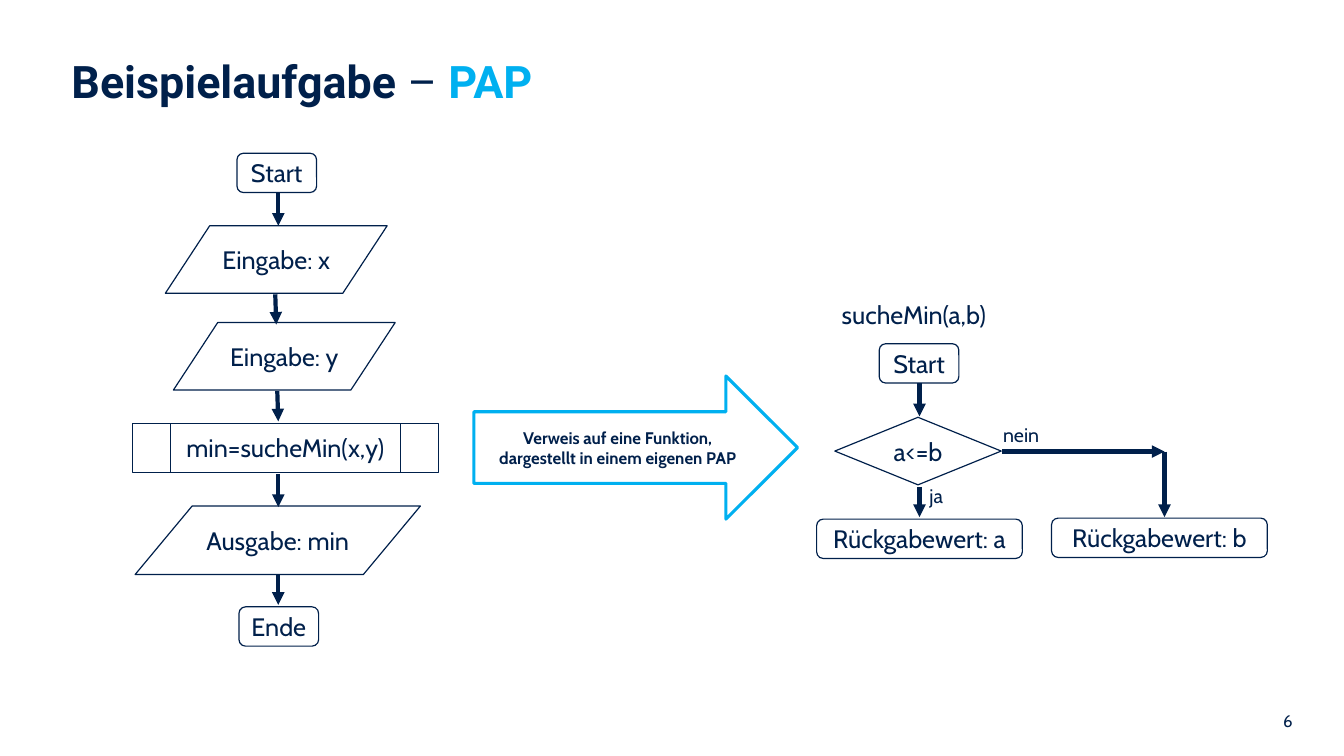
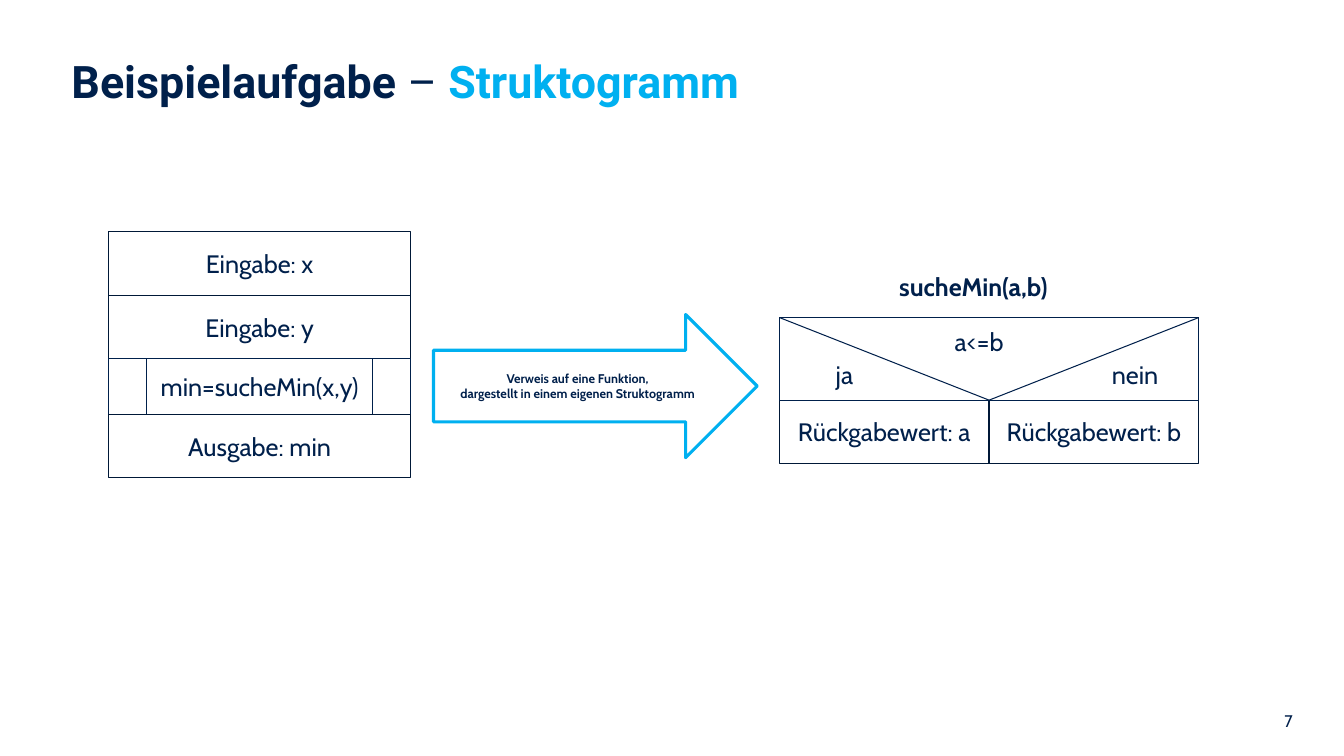
from lxml import etree
from pptx import Presentation
from pptx.dml.color import RGBColor
from pptx.enum.shapes import MSO_CONNECTOR, MSO_SHAPE
from pptx.enum.text import MSO_ANCHOR, PP_ALIGN
from pptx.oxml.ns import qn
from pptx.util import Inches, Pt

COLORS = {"navy": "00204B", "dark": "001837", "cyan": "00B0F0", "white": "FFFFFF"}
RGB = {name: RGBColor.from_string(value) for name, value in COLORS.items()}
BODY, HEAD = "Cabin", "Roboto"
STRAIGHT = MSO_CONNECTOR.STRAIGHT
LEFT, CENTER, RIGHT = PP_ALIGN.LEFT, PP_ALIGN.CENTER, PP_ALIGN.RIGHT
MIDDLE = MSO_ANCHOR.MIDDLE
TERMINAL = MSO_SHAPE.ROUNDED_RECTANGLE
IN_OUT = MSO_SHAPE.FLOWCHART_DATA
CALL = MSO_SHAPE.FLOWCHART_PREDEFINED_PROCESS
DECISION = MSO_SHAPE.FLOWCHART_DECISION
ARROW = MSO_SHAPE.RIGHT_ARROW
RECT = MSO_SHAPE.RECTANGLE


def add_box(s, preset, box, text="", size=18, bold=False, color="navy", weight=0.85, align=CENTER):
    """Add a preset shape with text, or a plain label if preset is None."""
    pos = [Inches(v) for v in box]
    if preset is None:
        sp = s.shapes.add_textbox(*pos)
    else:
        sp = s.shapes.add_shape(preset, *pos)
        sp.shadow.inherit = False
        if color == "dark":
            sp.fill.background()
        else:
            sp.fill.solid()
            sp.fill.fore_color.rgb = RGB["white"]
        sp.line.color.rgb = RGB[color]
        sp.line.width = Pt(weight)
        sp.text_frame.vertical_anchor = MIDDLE
        sp.text_frame.word_wrap = True
    tf = sp.text_frame
    tf.text = text
    for p in tf.paragraphs:
        p.alignment = align
        p.font.name, p.font.size, p.font.bold = BODY, Pt(size), bold
        p.font.color.rgb = RGB["navy"]
    return sp


def add_line(s, x1, y1, x2, y2, weight=3, arrow=True):
    cx = s.shapes.add_connector(STRAIGHT, Inches(x1), Inches(y1), Inches(x2), Inches(y2))
    cx.line.color.rgb = RGB["navy"]
    cx.line.width = Pt(weight)
    if arrow:
        etree.SubElement(cx.line._get_or_add_ln(), qn("a:tailEnd"), type="triangle")
    etree.SubElement(cx._element.spPr, qn("a:effectLst"))


prs = Presentation()
prs.slide_width, prs.slide_height = Inches(13.33), Inches(7.5)

# Shared title and page number
slides = []
for number, topic in ((6, "PAP"), (7, "Struktogramm")):
    s = prs.slides.add_slide(prs.slide_layouts[6])
    tf = s.shapes.add_textbox(Inches(0.61), Inches(0.48), Inches(12.18), Inches(0.79)).text_frame
    tf.word_wrap = True
    p = tf.paragraphs[0]
    p.font.name, p.font.size = HEAD, Pt(32)
    for text, color, bold in (("Beispielaufgabe ", "navy", True), ("– ", "navy", False), (topic, "cyan", True)):
        r = p.add_run()
        r.text = text
        r.font.bold = bold
        r.font.color.rgb = RGB[color]
    add_box(s, None, (8.45, 7, 4.47, 0.37), str(number), 12, align=RIGHT).text_frame.word_wrap = True
    slides.append(s)
flowchart, structogram = slides

# Flowchart: main program
for preset, box, text, weight in (
    (TERMINAL, (2.35, 1.52, 0.79, 0.39), "Start", 0.85),
    (IN_OUT, (1.64, 2.24, 2.2, 0.67), "Eingabe: x", 0.85),
    (IN_OUT, (1.72, 3.2, 2.2, 0.67), "Eingabe: y", 0.85),
    (CALL, (1.31, 4.2, 3.04, 0.48), "min=sucheMin(x,y)", 0.25),
    (IN_OUT, (1.34, 5.02, 2.83, 0.68), "Ausgabe: min", 0.85),
    (TERMINAL, (2.37, 6.02, 0.79, 0.39), "Ende", 0.85),
):
    add_box(flowchart, preset, box, text, weight=weight)
for x1, top, x2, bottom in (
    (2.76, 1.91, 2.76, 2.24),
    (2.73, 2.92, 2.74, 3.22),
    (2.75, 3.88, 2.76, 4.18),
    (2.76, 4.7, 2.76, 5.03),
    (2.76, 5.7, 2.76, 6),
):
    add_line(flowchart, x1, top, x2, bottom)

# Flowchart: function
for preset, box, text in (
    (TERMINAL, (8.72, 3.41, 0.79, 0.39), "Start"),
    (DECISION, (8.28, 4.14, 1.65, 0.67), "a<=b"),
    (TERMINAL, (8.1, 5.15, 2.04, 0.39), "Rückgabewert: a"),
    (TERMINAL, (10.43, 5.14, 2.14, 0.39), "Rückgabewert: b"),
):
    add_box(flowchart, preset, box, text)
for ends in ((9.12, 3.8, 9.12, 4.13), (9.12, 4.83, 9.12, 5.13), (9.94, 4.48, 11.55, 4.48), (11.55, 4.48, 11.55, 5.13)):
    add_line(flowchart, *ends)

# Structogram: main program
top = 2.3
for preset, height, text, color in (
    (RECT, 0.63, "Eingabe: x", "dark"),
    (RECT, 0.63, "Eingabe: y", "dark"),
    (CALL, 0.55, "min=sucheMin(x,y)", "navy"),
    (RECT, 0.63, "Ausgabe: min", "dark"),
):
    add_box(structogram, preset, (1.08, top, 2.99, height), text, color=color)
    top += height

# Structogram: function with its branch
left, top, half, height = 7.73, 3.15, 2.08, 0.82
for i, name in enumerate("ab"):
    add_box(structogram, RECT, (left + i * half, top + height, half, 0.63), f"Rückgabewert: {name}", color="dark")
add_box(structogram, RECT, (left, top, 2 * half, height))
for corner in (left, left + 2 * half):
    add_line(structogram, corner, top, left + half, top + height, 0.75, arrow=False)

# Labels
for s, box, text, size, bold in (
    (flowchart, (8.25, 2.92, 1.72, 0.4), "sucheMin(a,b)", 18, False),
    (flowchart, (9.12, 4.75, 0.34, 0.34), "ja", 14, False),
    (flowchart, (9.85, 4.15, 0.56, 0.34), "nein", 14, False),
    (structogram, (8.82, 2.64, 1.87, 0.4), "sucheMin(a,b)", 18, True),
    (structogram, (9.37, 3.19, 0.77, 0.4), "a<=b", 18, False),
    (structogram, (8.19, 3.52, 0.38, 0.4), "ja", 18, False),
    (structogram, (10.93, 3.52, 0.66, 0.4), "nein", 18, False),
):
    add_box(s, None, box, text, size, bold, align=LEFT)

# Arrows pointing to the function
for s, x, y, target, size in ((flowchart, 4.7, 3.73, "PAP", 12), (structogram, 4.3, 3.12, "Struktogramm", 9)):
    note = f"Verweis auf eine Funktion,\ndargestellt in einem eigenen {target}"
    add_box(s, ARROW, (x, y, 3.21, 1.42), note, size, True, "cyan", 2.25)

prs.save("out.pptx")
